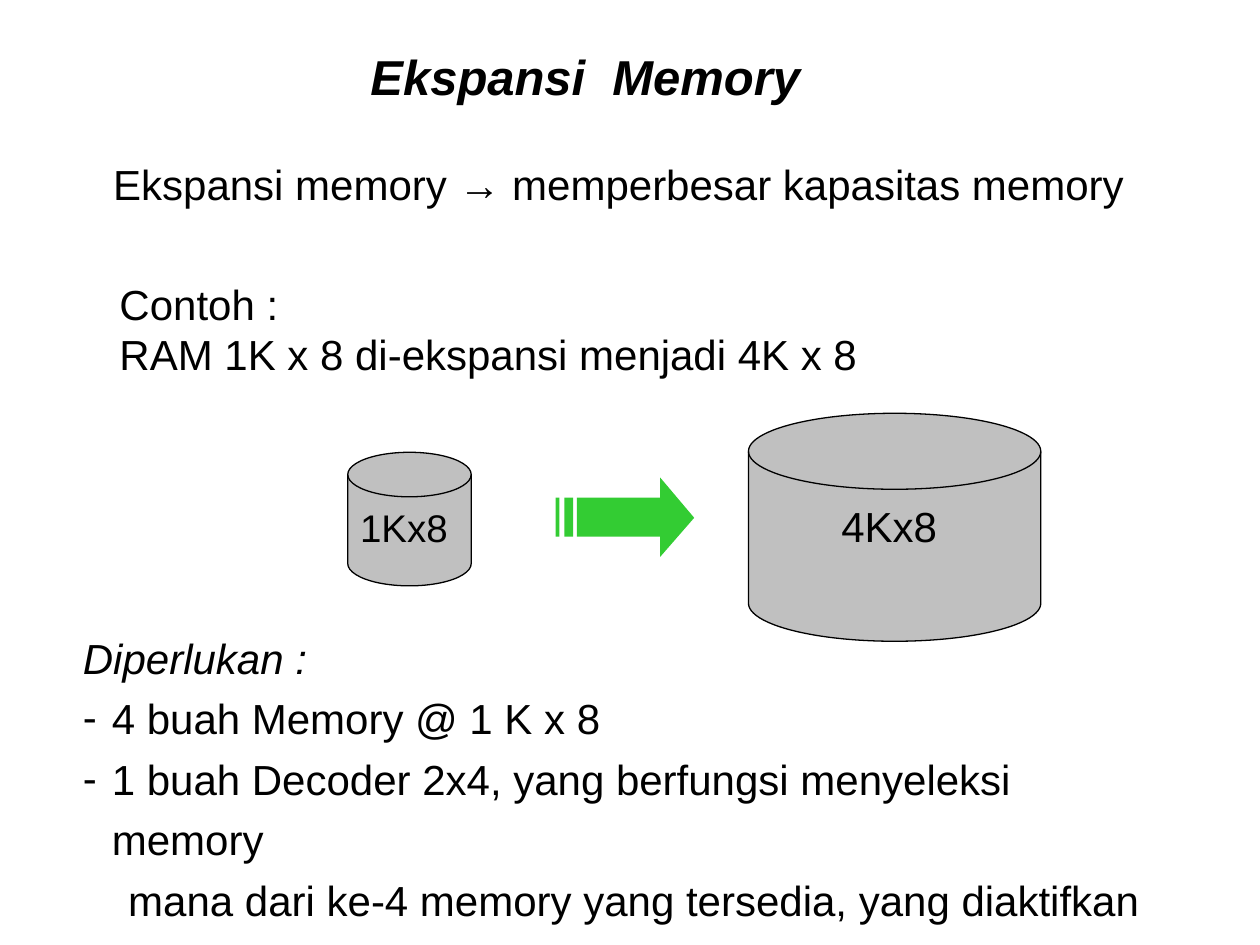
from lxml import etree
from pptx import Presentation
from pptx.dml.color import RGBColor
from pptx.enum.shapes import MSO_SHAPE
from pptx.enum.text import MSO_ANCHOR, PP_ALIGN
from pptx.oxml.ns import qn
from pptx.util import Inches, Pt

DISK = MSO_SHAPE.FLOWCHART_MAGNETIC_DISK
TOP, LEFT = MSO_ANCHOR.TOP, PP_ALIGN.LEFT
FONT = "Arial"
BLACK, GRAY, GREEN = "000000", "C0C0C0", "33CC33"


def rgb(value):
    return RGBColor.from_string(value)


def place(sp, left, top, width, height):
    sp.left, sp.top = Inches(left), Inches(top)
    sp.width, sp.height = Inches(width), Inches(height)


def fill_text(sp, lines, size, bold=False, italic=False, wrap=False):
    tf = sp.text_frame
    tf.text = "\n".join(lines)
    tf.word_wrap = wrap
    tf.vertical_anchor = TOP
    for p in tf.paragraphs:
        p.alignment = LEFT
        for r in p.runs:
            font = r.font
            font.name, font.size = FONT, Pt(size)
            font.bold, font.italic = bold, italic
            font.color.rgb = rgb(BLACK)
    return tf


def add_title(s, text):
    sp = s.shapes.title
    place(sp, 2.84, 0.32, 3.66, 0.57)
    tf = fill_text(sp, [text], 28, bold=True, italic=True, wrap=True)
    tf.paragraphs[0].line_spacing = 1.0


def add_text(s, box, lines, size=24, wrap=False):
    sp = s.shapes.add_textbox(*map(Inches, box))
    return fill_text(sp, lines, size, wrap=wrap)


def indent(p, left, bullet=None):
    """Indent a paragraph, hanging a bullet at the margin if one is given."""
    pPr = p._p.get_or_add_pPr()
    pPr.set("marL", str(Inches(left)))
    if bullet:
        pPr.set("indent", str(-Inches(left)))
        etree.SubElement(pPr, qn("a:buFont")).set("typeface", FONT)
        etree.SubElement(pPr, qn("a:buChar")).set("char", bullet)


def add_requirements(s):
    tf = add_text(s, (0.56, 4.89, 8.8, 2.42), [
        "Diperlukan :",
        "4 buah Memory @ 1 K x 8",
        "1 buah Decoder 2x4, yang berfungsi menyeleksi memory",
        "mana dari ke-4 memory yang tersedia, yang diaktifkan",
    ], wrap=True)
    heading, memory, decoder, continuation = tf.paragraphs
    for p in tf.paragraphs:
        p.line_spacing = 1.2
    heading.runs[0].font.italic = True
    for p in (memory, decoder):
        indent(p, 0.23, "-")
    indent(continuation, 0.36)


def add_disk(s, box):
    sp = s.shapes.add_shape(DISK, *map(Inches, box))
    sp.shadow.inherit = False
    sp.fill.solid()
    sp.fill.fore_color.rgb = rgb(GRAY)
    sp.line.color.rgb = rgb(BLACK)
    sp.line.width = Pt(0.75)


def add_striped_arrow(s):
    """Draw the arrow and its two tail stripes, in hundredths of an inch."""
    top, bottom = 395, 426
    arrow = [(458, top), (524, top), (524, 379), (551, 411),
             (524, 442), (524, bottom), (458, bottom)]
    stripes = [[(x1, top), (x2, top), (x2, bottom), (x1, bottom)]
               for x1, x2 in ((441, 444), (448, 455))]
    fb = s.shapes.build_freeform(*arrow[0], scale=Inches(0.01))
    fb.add_line_segments(arrow[1:], close=True)
    for stripe in stripes:
        fb.move_to(*stripe[0])
        fb.add_line_segments(stripe[1:], close=True)
    sp = fb.convert_to_shape()
    sp.shadow.inherit = False
    sp.fill.solid()
    sp.fill.fore_color.rgb = rgb(GREEN)
    sp.line.fill.background()


def main():
    prs = Presentation()
    prs.slide_width, prs.slide_height = Inches(10), Inches(7.5)
    s = prs.slides.add_slide(prs.slide_layouts[5])

    add_title(s, "Ekspansi  Memory")
    add_text(s, (0.8, 1.21, 8.3, 0.5),
             ["Ekspansi memory → memperbesar kapasitas memory"])
    add_text(s, (0.85, 2.16, 6.2, 0.9),
             ["Contoh :", "RAM 1K x 8 di-ekspansi menjadi 4K x 8"])
    add_requirements(s)

    add_disk(s, (5.94, 3.28, 2.32, 1.81))
    add_disk(s, (2.76, 3.59, 0.98, 1.06))
    add_striped_arrow(s)
    add_text(s, (2.76, 3.95, 0.98, 0.47), ["1Kx8"], size=22)
    add_text(s, (6.58, 3.92, 1.04, 0.5), ["4Kx8"])

    prs.save("out.pptx")


if __name__ == "__main__":
    main()
